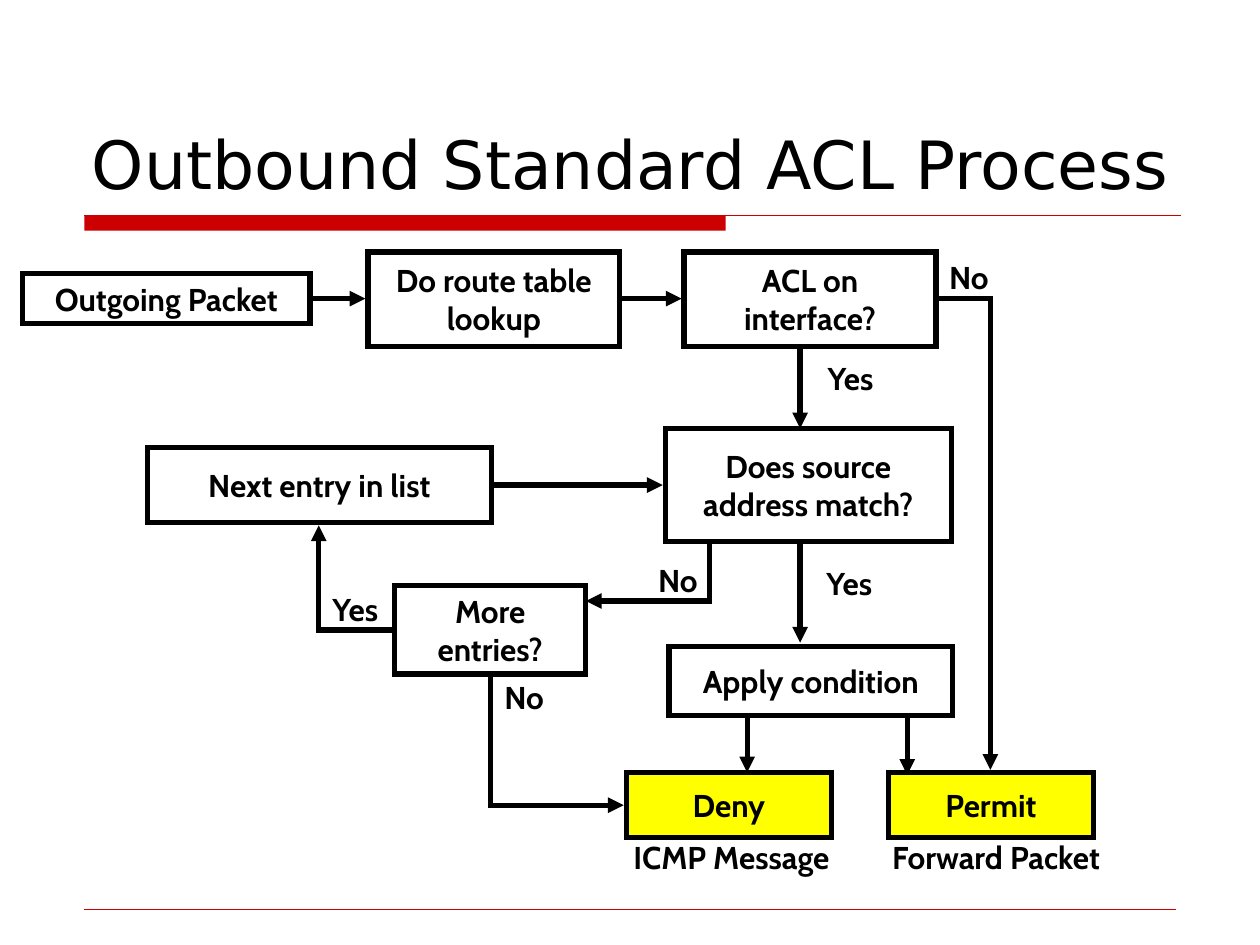
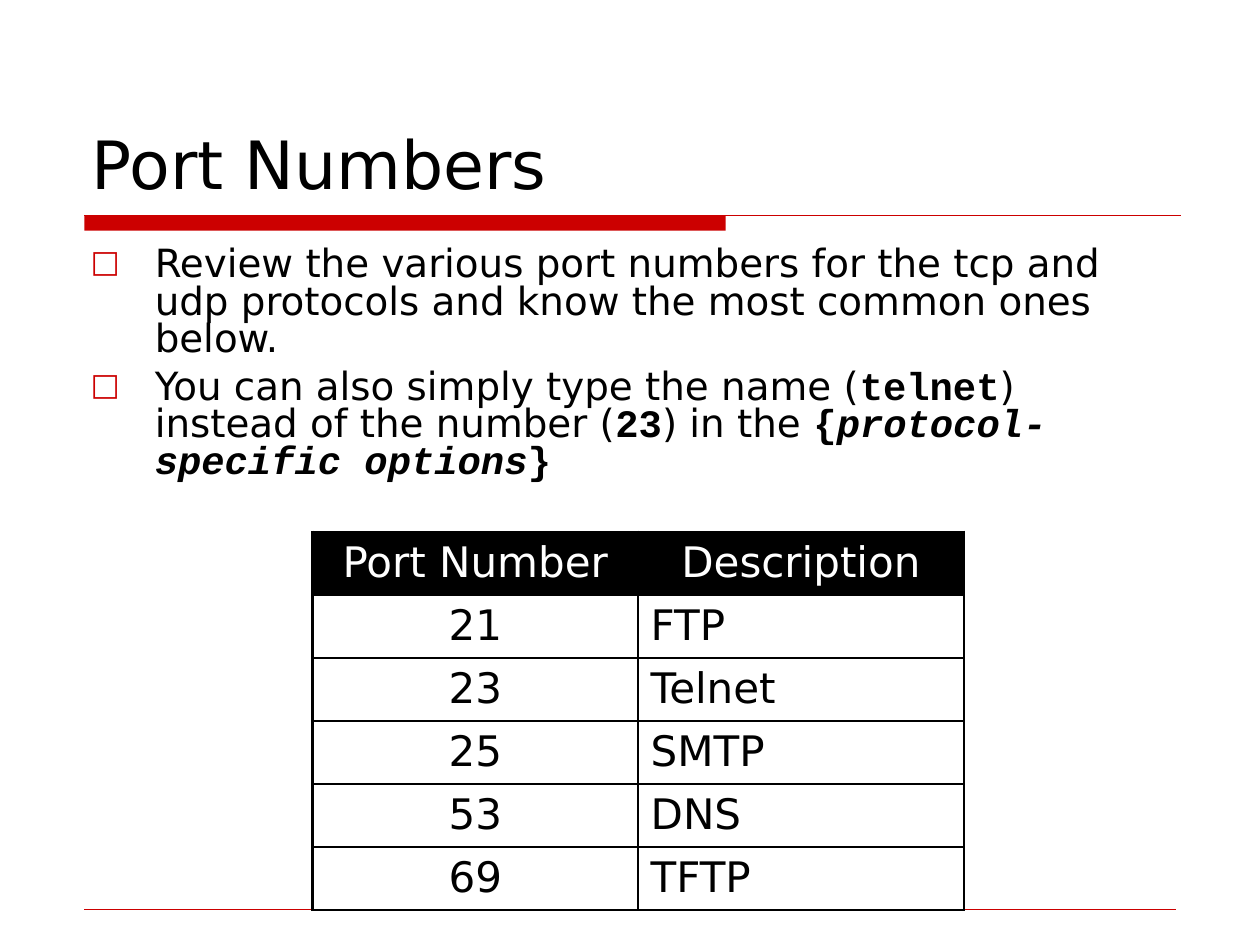
import lxml.etree
import pptx
import pptx.dml.color
import pptx.enum.shapes
import pptx.enum.text
import pptx.oxml.ns
import pptx.util

Inches = pptx.util.Inches
Pt = pptx.util.Pt
ALIGN = pptx.enum.text.PP_ALIGN
ANCHOR = pptx.enum.text.MSO_ANCHOR
CONNECTOR = pptx.enum.shapes.MSO_CONNECTOR
RECTANGLE = pptx.enum.shapes.MSO_SHAPE.RECTANGLE

COLORS = {"ink": "000000", "paper": "FFFFFF", "accent": "CC0000", "outcome": "FFFF00"}
BODY_FONT = "DejaVu Sans"
FLOW_FONT = "Cabin"
CODE_FONT = "Courier New"
MARGIN = 0.67
FLOW_LINE = 3


def color(name):
    return pptx.dml.color.RGBColor.from_string(COLORS[name])


def add_element(parent, tag, **attributes):
    element = lxml.etree.SubElement(parent, pptx.oxml.ns.qn(tag))
    for key, value in attributes.items():
        element.set(key, str(value))
    return element


def add_color(parent, name):
    add_element(parent, "a:srgbClr", val=COLORS[name])


def add_bullet(paragraph, indent):
    properties = paragraph._p.get_or_add_pPr()
    properties.set("marL", str(Inches(indent)))
    properties.set("indent", str(-Inches(indent)))
    add_color(add_element(properties, "a:buClr"), "accent")
    add_element(properties, "a:buSzPct", val=80000)
    add_element(properties, "a:buFont", typeface=BODY_FONT)
    add_element(properties, "a:buChar", char="□")


def write_text(frame, *paragraphs, font=BODY_FONT, size=18, ink="ink", bold=False,
               align=ALIGN.LEFT, anchor=ANCHOR.TOP, inset=None, bullet_indent=None,
               line_spacing=None, space_before=0):
    """Fill a frame; a paragraph is a string or a list of (text, font overrides) runs."""
    frame.word_wrap = True
    frame.vertical_anchor = anchor
    if inset is not None:
        frame.margin_left = frame.margin_right = Inches(inset)
        frame.margin_top = frame.margin_bottom = Inches(inset)
    for index, content in enumerate(paragraphs):
        paragraph = frame.add_paragraph() if index else frame.paragraphs[0]
        if bullet_indent:
            add_bullet(paragraph, bullet_indent)
        paragraph.alignment = align
        paragraph.line_spacing = line_spacing
        if index:
            paragraph.space_before = Pt(space_before)
        runs = [(content, {})] if isinstance(content, str) else content
        for text, overrides in runs:
            run = paragraph.add_run()
            run.text = text
            run.font.name = font
            run.font.size = Pt(size)
            run.font.bold = bold
            run.font.color.rgb = color(ink)
            for attribute, value in overrides.items():
                setattr(run.font, attribute, value)


def add_text(slide, left, top, width, height, *paragraphs, **text_format):
    shape = slide.shapes.add_textbox(*map(Inches, (left, top, width, height)))
    write_text(shape.text_frame, *paragraphs, **text_format)


def style_line(shape, name, width):
    shape.line.color.rgb = color(name)
    shape.line.width = Pt(width)
    line = shape.line._ln
    add_element(line, "a:miter", lim=800000)
    return line


def add_box(slide, left, top, width, height, fill, border=None):
    shape = slide.shapes.add_shape(RECTANGLE, *map(Inches, (left, top, width, height)))
    shape.shadow.inherit = False
    shape.fill.solid()
    shape.fill.fore_color.rgb = color(fill)
    if border:
        style_line(shape, border, FLOW_LINE)
    else:
        shape.line.fill.background()
    return shape


def add_line(slide, start, end, name="ink", width=FLOW_LINE, arrow=None):
    """Draw a straight connector; arrow is "head" (at start) or "tail" (at end)."""
    connector = slide.shapes.add_connector(
        CONNECTOR.STRAIGHT, *map(Inches, (*start, *end)))
    line = style_line(connector, name, width)
    if arrow:
        add_element(line, f"a:{arrow}End", type="triangle")
    add_element(connector.element.spPr, "a:effectLst")
    return connector


def add_elbow(slide, start, end, arrow):
    """Draw a connector that leaves start sideways and reaches end upright."""
    connector = add_line(slide, start, end, arrow=arrow)
    properties = connector.element.spPr
    properties.find(pptx.oxml.ns.qn("a:prstGeom")).set("prst", "bentConnector2")
    transform = properties.find(pptx.oxml.ns.qn("a:xfrm"))
    if transform.get("flipH") and transform.get("flipV"):
        del transform.attrib["flipH"], transform.attrib["flipV"]
        connector.rotation = 180
        transform.set("rot", str(180 * 60000))


def add_frame(presentation, title, title_width=8.75):
    """Start a slide with the title, the red band and the footer rule."""
    slide = presentation.slides.add_slide(presentation.slide_layouts[6])
    add_box(slide, MARGIN, 1.71, 5.09, 0.12, "accent")
    add_line(slide, (MARGIN, 1.71), (9.37, 1.71), "accent", 0.75)
    add_line(slide, (MARGIN, 7.22), (9.33, 7.22), "accent", 0.25)
    add_text(slide, 0.63, 0.33, title_width, 1.33, title, size=38, anchor=ANCHOR.BOTTOM)
    return slide


STEPS = [
    ("Outgoing Packet", 0.18, 0.17, 2.28, 0.4, "paper"),
    ("Do route table lookup", 2.92, 0, 2, 0.75, "paper"),
    ("ACL on interface?", 5.43, 0, 2, 0.75, "paper"),
    ("Does source address match?", 5.28, 1.4, 2.27, 0.9, "paper"),
    ("Next entry in list", 1.17, 1.55, 2.73, 0.6, "paper"),
    ("More entries?", 3.13, 2.65, 1.52, 0.7, "paper"),
    ("Apply condition", 5.31, 3.13, 2.25, 0.55, "paper"),
    ("Permit", 7.05, 4.13, 1.63, 0.52, "outcome"),
    ("Deny", 4.97, 4.13, 1.63, 0.52, "outcome"),
]
STRAIGHT_LINES = [
    ((2.48, 0.37), (2.9, 0.37), "tail"),
    ((4.94, 0.37), (5.41, 0.37), "tail"),
    ((6.35, 0.75), (6.35, 1.4), "tail"),
    ((6.35, 2.3), (6.35, 3.1), "tail"),
    ((5.63, 2.32), (5.63, 2.77), None),
    ((5.65, 2.77), (4.65, 2.77), "tail"),
    ((3.91, 1.85), (5.26, 1.85), "tail"),
    ((5.93, 3.68), (5.93, 4.13), "tail"),
    ((7.2, 3.68), (7.2, 4.15), "tail"),
]
ELBOWS = [
    ((7.45, 0.37), (7.86, 4.11), "tail"),
    ((4.95, 4.39), (3.89, 3.37), "head"),
    ((3.11, 3), (2.53, 2.17), "tail"),
]
ANSWERS = [
    ("No", 5.02, 2.4), ("No", 3.8, 3.33), ("No", 7.33, 0),
    ("Yes", 2.46, 2.63), ("Yes", 6.38, 2.43), ("Yes", 6.39, 0.8),
]
CAPTIONS = [("ICMP Message", 4.78), ("Forward Packet", 6.88)]


def add_flowchart(slide, left, top):
    flow_text = {"font": FLOW_FONT, "bold": True, "align": ALIGN.CENTER}

    def place(point):
        return left + point[0], top + point[1]

    for text, x, y, width, height, fill in STEPS:
        shape = add_box(slide, *place((x, y)), width, height, fill, "ink")
        write_text(shape.text_frame, text, anchor=ANCHOR.MIDDLE, **flow_text)
    for start, end, arrow in STRAIGHT_LINES:
        add_line(slide, place(start), place(end), arrow=arrow)
    for start, end, arrow in ELBOWS:
        add_elbow(slide, place(start), place(end), arrow)
    for text, x, y in ANSWERS:
        add_text(slide, *place((x, y)), 0.72, 0.4, text, **flow_text)
    for text, x in CAPTIONS:
        add_text(slide, *place((x, 4.65)), 2.05, 0.3, text, inset=0, **flow_text)


PORTS = [
    ("Port Number", "Description"),
    ("21", "FTP"),
    ("23", "Telnet"),
    ("25", "SMTP"),
    ("53", "DNS"),
    ("69", "TFTP"),
]


def add_cell_borders(cell):
    properties = cell._tc.get_or_add_tcPr()
    for side in "LRTB":
        line = add_element(properties, f"a:ln{side}", w=Pt(1.5))
        add_color(add_element(line, "a:solidFill"), "ink")


def add_port_table(slide, left, top, width, row_height):
    table = slide.shapes.add_table(
        len(PORTS), 2, *map(Inches, (left, top, width, row_height * len(PORTS)))).table
    table.first_row = table.horz_banding = False
    for row_index, row in enumerate(PORTS):
        is_header = row_index == 0
        for column_index, text in enumerate(row):
            cell = table.cell(row_index, column_index)
            add_cell_borders(cell)
            cell.fill.solid()
            cell.fill.fore_color.rgb = color("ink" if is_header else "paper")
            centred = is_header or column_index == 0
            write_text(cell.text_frame, text, size=24,
                       ink="paper" if is_header else "ink",
                       align=ALIGN.CENTER if centred else ALIGN.LEFT)


def add_port_notes(slide, left, top, width, height):
    code = {"name": CODE_FONT, "bold": True}
    add_text(
        slide, left, top, width, height,
        "Review the various port numbers for the tcp and udp protocols "
        "and know the most common ones below.",
        [
            ("You can also simply type the name (", {}),
            ("telnet", code),
            (") instead of the number (", {}),
            ("23", code),
            (") in the ", {}),
            ("{", code),
            ("protocol-specific options", {**code, "italic": True}),
            ("}", code),
        ],
        size=22.2, bullet_indent=0.51, line_spacing=0.8, space_before=6)


def main():
    presentation = pptx.Presentation()
    presentation.slide_width = Inches(10)
    presentation.slide_height = Inches(7.5)

    process_slide = add_frame(presentation, "Outbound Standard ACL Process", 9.1)
    add_flowchart(process_slide, 0, 2)

    ports_slide = add_frame(presentation, "Port Numbers")
    add_port_notes(ports_slide, 0.62, 1.92, 8.75, 1.73)
    add_port_table(ports_slide, 2.48, 4.22, 5.17, 0.5)

    presentation.save("out.pptx")


if __name__ == "__main__":
    main()
